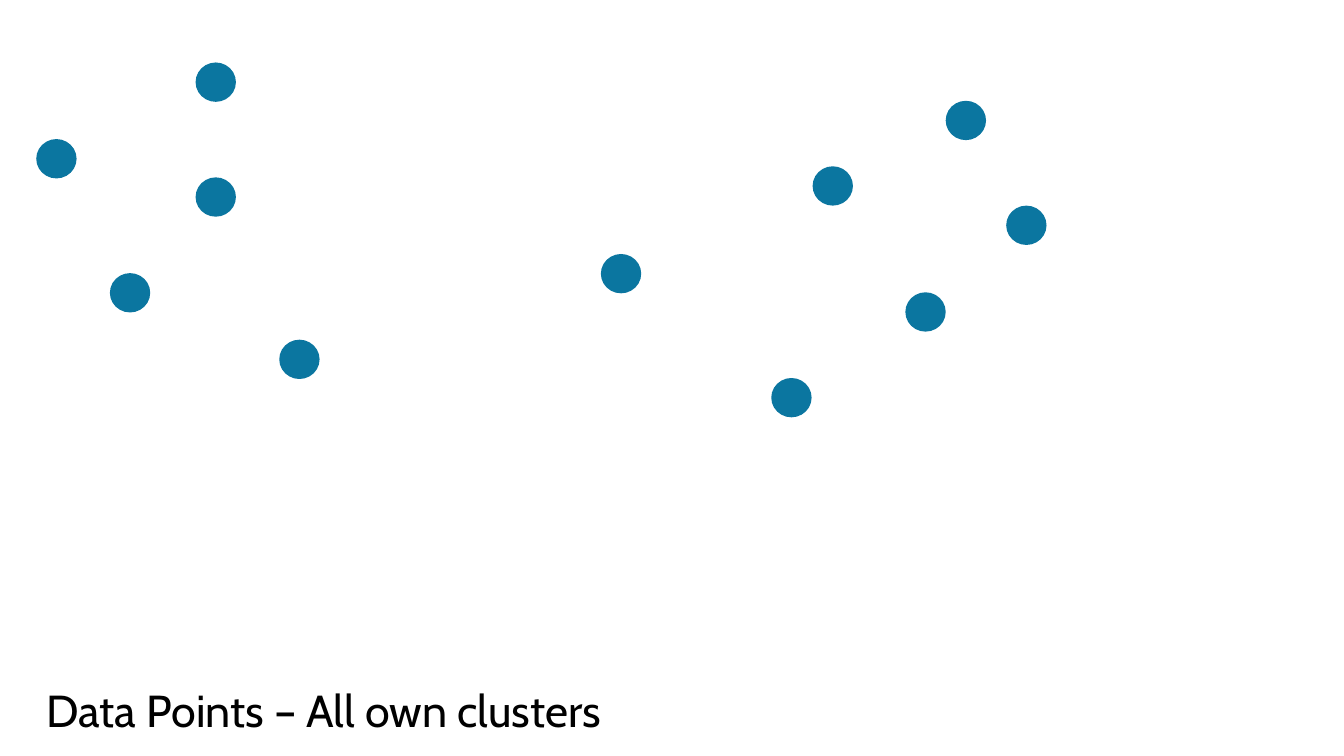
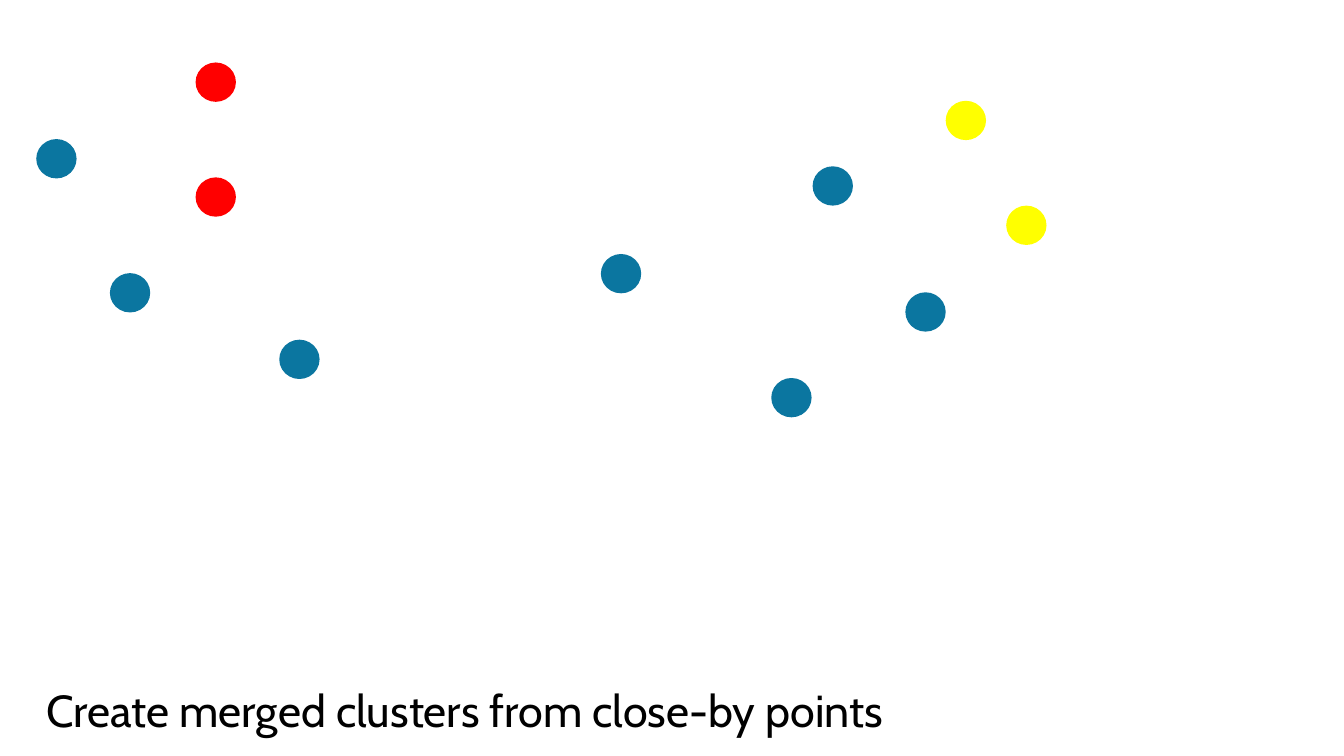
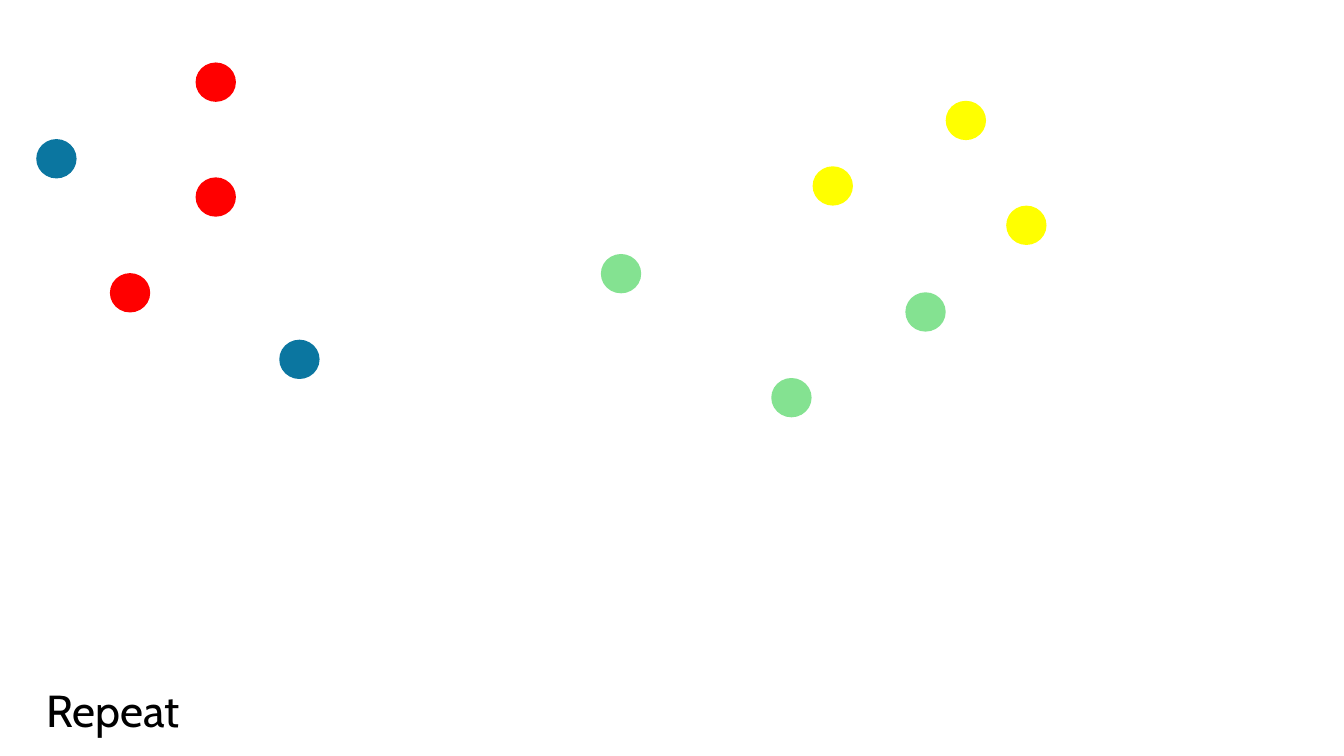
from dataclasses import dataclass

from pptx import Presentation
from pptx.dml.color import RGBColor
from pptx.enum.shapes import MSO_SHAPE
from pptx.enum.text import MSO_ANCHOR, MSO_AUTO_SIZE, PP_ALIGN
from pptx.util import Inches, Pt


@dataclass(frozen=True)
class Theme:
    single: RGBColor = RGBColor(0x0B, 0x76, 0xA0)
    red: RGBColor = RGBColor(0xFF, 0x00, 0x00)
    yellow: RGBColor = RGBColor(0xFF, 0xFF, 0x00)
    green: RGBColor = RGBColor(0x84, 0xE2, 0x91)
    text: RGBColor = RGBColor(0x00, 0x00, 0x00)
    font: str = "Cabin"
    title_size: Pt = Pt(32)


theme = Theme()

# Left and top of each data point, in inches
POINTS = {
    "A": (1.94, 0.62),
    "B": (1.09, 2.71),
    "C": (0.36, 1.38),
    "D": (5.96, 2.52),
    "E": (7.65, 3.75),
    "F": (8.98, 2.9),
    "G": (9.98, 2.04),
    "H": (8.06, 1.65),
    "I": (9.38, 1),
    "J": (2.77, 3.37),
    "K": (1.94, 1.76),
}

# Title, title width and the merged clusters; all other points stay single
STEPS = [
    ("Data Points – All own clusters", 6.31, {}),
    ("Create merged clusters from close-by points", 11.05,
     {"AK": theme.red, "GI": theme.yellow}),
    ("Repeat", 11.05,
     {"ABK": theme.red, "GHI": theme.yellow, "DEF": theme.green}),
]

prs = Presentation()
prs.slide_width, prs.slide_height = Inches(13.33), Inches(7.5)
title_only = prs.slide_layouts[5]

for title, width, clusters in STEPS:
    s = prs.slides.add_slide(title_only)
    colors = {name: color for members, color in clusters.items() for name in members}

    for name, (left, top) in POINTS.items():
        sp = s.shapes.add_shape(MSO_SHAPE.OVAL, Inches(left), Inches(top),
                                Inches(0.4), Inches(0.39))
        sp.shadow.inherit = False
        sp.fill.solid()
        sp.fill.fore_color.rgb = colors.get(name, theme.single)
        sp.line.fill.background()

    sp = s.shapes.title
    sp.left, sp.top = Inches(0.36), Inches(6.72)
    sp.width, sp.height = Inches(width), Inches(0.64)
    tf = sp.text_frame
    tf.text = title
    tf.word_wrap = True
    tf.auto_size = MSO_AUTO_SIZE.SHAPE_TO_FIT_TEXT
    tf.vertical_anchor = MSO_ANCHOR.TOP
    p = tf.paragraphs[0]
    p.alignment = PP_ALIGN.LEFT
    r = p.runs[0]
    r.font.name = theme.font
    r.font.size = theme.title_size
    r.font.color.rgb = theme.text

prs.save("out.pptx")
